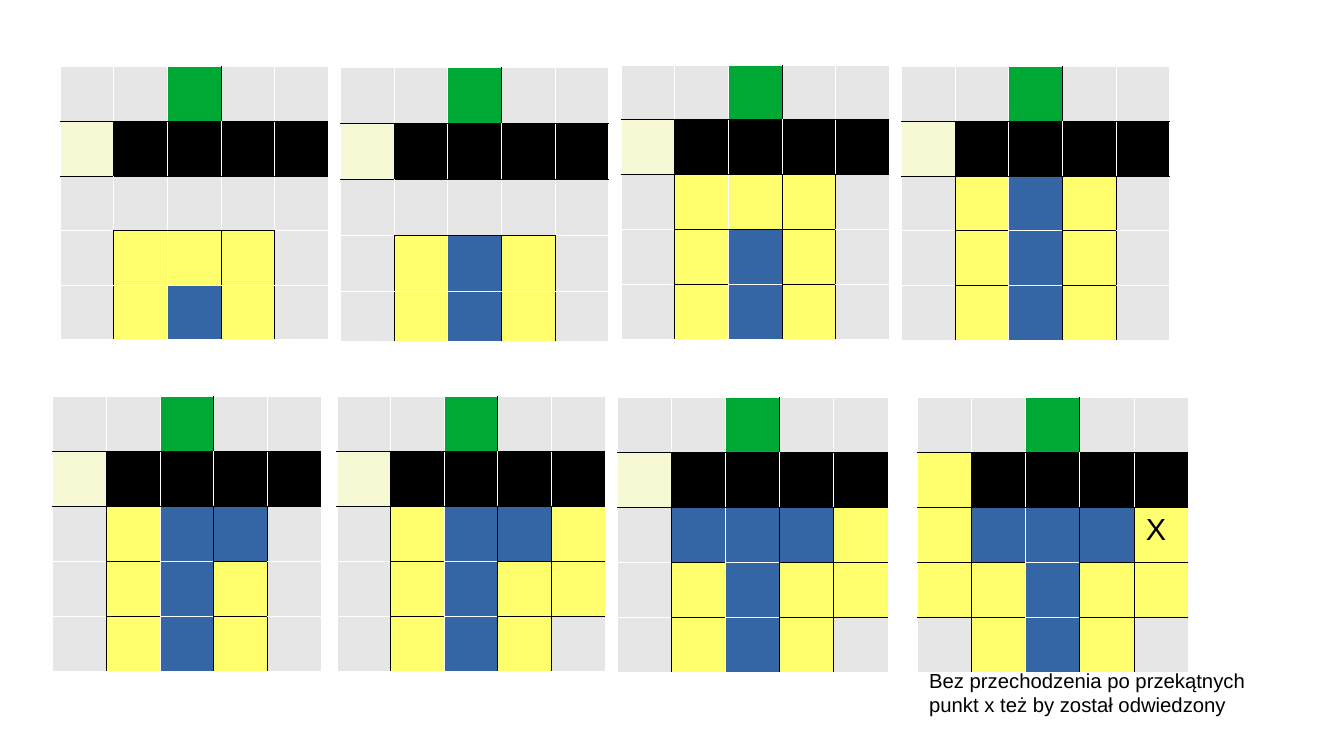
from lxml import etree
from pptx import Presentation
from pptx.dml.color import RGBColor
from pptx.oxml.ns import qn
from pptx.util import Inches, Pt

THEME = {
    "font": "Arial",
    "text": "000000",
    "mark_size": 18,
    "note_size": 12,
    "border_width": 0.06,
    "border_light": "FFFFFF",
    "border_dark": "000000",
    # Cell kinds used in the map strings
    "cells": {
        ".": "E6E6E6",  # unvisited
        "G": "00A933",  # goal
        "S": "F6F9D4",  # pale side cell
        "#": "000000",  # wall
        "Y": "FFFF6D",  # frontier
        "B": "3465A4",  # visited
    },
}
SIZE = 5
EXPLORED = "YB"
TOP_ROW, WALL_ROW, EMPTY_ROW = "..G..", "S####", "....."
COLUMN_BLUE = ".YBY."

# left, top, width, row height, last row height, lower rows
STEPS = [
    (0.49, 0.54, 2.2, 0.45, 0.44, [WALL_ROW, EMPTY_ROW, ".YYY.", COLUMN_BLUE]),
    (2.79, 0.55, 2.2, 0.46, 0.41, [WALL_ROW, EMPTY_ROW, COLUMN_BLUE, COLUMN_BLUE]),
    (5.09, 0.53, 2.2, 0.45, 0.45, [WALL_ROW, ".YYY.", COLUMN_BLUE, COLUMN_BLUE]),
    (7.39, 0.54, 2.2, 0.45, 0.45, [WALL_ROW, COLUMN_BLUE, COLUMN_BLUE, COLUMN_BLUE]),
    (0.43, 3.25, 2.2, 0.45, 0.45, [WALL_ROW, ".YBB.", COLUMN_BLUE, COLUMN_BLUE]),
    (2.76, 3.25, 2.2, 0.45, 0.45, [WALL_ROW, ".YBBY", ".YBYY", COLUMN_BLUE]),
    (5.06, 3.26, 2.22, 0.45, 0.45, [WALL_ROW, ".BBBY", ".YBYY", COLUMN_BLUE]),
    (7.52, 3.26, 2.22, 0.45, 0.45, ["Y####", "YBBBY", "YYBYY", COLUMN_BLUE]),
]


def add_border(cell, side, dark):
    """Draw one side of a cell in the dark or the light border colour."""
    line = etree.SubElement(cell._tc.get_or_add_tcPr(), qn(f"a:ln{side}"))
    line.set("w", str(Pt(THEME["border_width"])))
    fill = etree.SubElement(line, qn("a:solidFill"))
    color = THEME["border_dark"] if dark else THEME["border_light"]
    etree.SubElement(fill, qn("a:srgbClr")).set("val", color)


def format_text(text_frame, size):
    """Apply the theme font to every run of a text frame."""
    for paragraph in text_frame.paragraphs:
        for run in paragraph.runs:
            run.font.name = THEME["font"]
            run.font.size = Pt(size)
            run.font.bold = False
            run.font.color.rgb = RGBColor.from_string(THEME["text"])


presentation = Presentation()
presentation.slide_width = Inches(11.02)
presentation.slide_height = Inches(6.2)
slide = presentation.slides.add_slide(presentation.slide_layouts[6])

for step, (left, top, width, row_height, last_height, lower_rows) in enumerate(STEPS):
    grid = [TOP_ROW] + lower_rows
    heights = [row_height] * (SIZE - 1) + [last_height]
    table = slide.shapes.add_table(
        SIZE, SIZE, Inches(left), Inches(top), Inches(width), Inches(sum(heights))
    ).table
    table.first_row = False
    table.horz_banding = False
    for row, height in zip(table.rows, heights):
        row.height = Inches(height)

    # Edge i lies before row or column i; outer edges stay light
    dark_vertical, dark_horizontal = set(), set()
    for row in range(SIZE):
        for column in range(SIZE):
            kind = grid[row][column]
            if column not in (0, 2):
                before = grid[row][column - 1]
                if before != kind or kind in EXPLORED:
                    dark_vertical.add((row, column))
            if row > 0 and not (step < 2 and row == SIZE - 1):
                above = grid[row - 1][column]
                if above != kind or kind == "Y":
                    dark_horizontal.add((row, column))

    for row in range(SIZE):
        for column in range(SIZE):
            cell = table.cell(row, column)
            add_border(cell, "L", (row, column) in dark_vertical)
            add_border(cell, "R", (row, column + 1) in dark_vertical)
            add_border(cell, "T", (row, column) in dark_horizontal)
            add_border(cell, "B", (row + 1, column) in dark_horizontal)
            cell.fill.solid()
            cell.fill.fore_color.rgb = RGBColor.from_string(
                THEME["cells"][grid[row][column]]
            )

# The last step marks the cell behind the wall
marked_cell = table.cell(2, SIZE - 1)
marked_cell.text_frame.text = "X"
format_text(marked_cell.text_frame, THEME["mark_size"])

note = slide.shapes.add_textbox(Inches(7.52), Inches(5.43), Inches(2.83), Inches(0.5))
note.text_frame.word_wrap = True
note.text_frame.text = (
    "Bez przechodzenia po przekątnych punkt x też by został odwiedzony"
)
format_text(note.text_frame, THEME["note_size"])

presentation.save("out.pptx")
